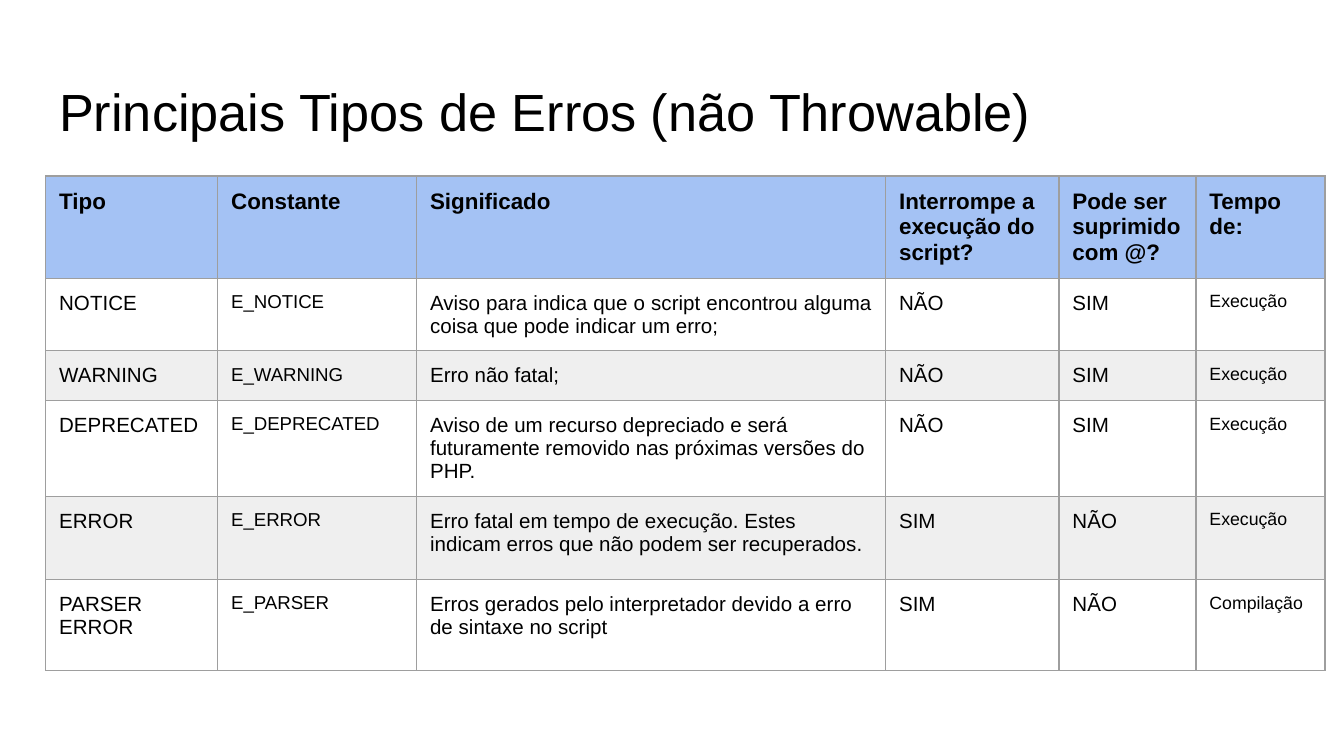
from lxml import etree
from pptx import Presentation
from pptx import util as u
from pptx.dml.color import RGBColor
from pptx.enum import text
from pptx.oxml.ns import qn

FONT, BLACK = "Arial", "000000"
HEADER_FILL, BAND_FILL, GRID = "A4C2F4", "EFEFEF", "9E9E9E"
SLIDE_WIDTH = u.Inches(10)
SLIDE_HEIGHT = SLIDE_WIDTH * 9 // 16
LEFT = 0.34
COLUMNS = [1.28, 1.48, 3.49, 1.29, 1.02, 0.96]
ROWS = [0.68, 0.34, 0.2, 0.42, 0.62, 0.68]  # minimum heights; rows grow with text
BODY_SIZES = [11, 10, 11, 11, 11, 9.5]
HEADER = ["Tipo", "Constante", "Significado", "Interrompe a execução do script?",
          "Pode ser suprimido com @?", "Tempo de:"]
ERRORS = [
    ["NOTICE", "E_NOTICE",
     "Aviso para indica que o script encontrou alguma coisa que pode indicar um erro;",
     "NÃO", "SIM", "Execução"],
    ["WARNING", "E_WARNING", "Erro não fatal;", "NÃO", "SIM", "Execução"],
    ["DEPRECATED", "E_DEPRECATED",
     "Aviso de um recurso depreciado e será futuramente removido nas próximas versões do PHP.",
     "NÃO", "SIM", "Execução"],
    ["ERROR", "E_ERROR",
     "Erro fatal em tempo de execução. Estes indicam erros que não podem ser recuperados.",
     "SIM", "NÃO", "Execução"],
    ["PARSER ERROR", "E_PARSER",
     "Erros gerados pelo interpretador devido a erro de sintaxe no script",
     "SIM", "NÃO", "Compilação"],
]
JUSTIFIED = {(1, 1), (1, 2)}


def rgb(value):
    return RGBColor.from_string(value)


def write(holder, words, size, bold=False, align=text.PP_ALIGN.LEFT):
    """Put one formatted paragraph in a text frame or table cell."""
    holder.margin_left = holder.margin_right = u.Inches(0.1)
    holder.margin_top = holder.margin_bottom = u.Inches(0.1)
    holder.vertical_anchor = text.MSO_ANCHOR.TOP
    frame = getattr(holder, "text_frame", holder)
    frame.text = words
    paragraph = frame.paragraphs[0]
    paragraph.alignment = align
    font = paragraph.font
    font.name, font.size, font.bold = FONT, u.Pt(size), bold
    font.color.rgb = rgb(BLACK)


def add_borders(cell):
    properties = cell._tc.get_or_add_tcPr()
    for position, side in enumerate(("lnL", "lnR", "lnT", "lnB")):
        line = etree.Element(qn(f"a:{side}"), w=str(u.Pt(0.75)))
        fill = etree.SubElement(line, qn("a:solidFill"))
        etree.SubElement(fill, qn("a:srgbClr"), val=GRID)
        properties.insert(position, line)


def fill_cell(cell, color):
    if color:
        cell.fill.solid()
        cell.fill.fore_color.rgb = rgb(color)
    else:
        cell.fill.background()


def add_title(slide, words):
    title = slide.shapes.title
    title.left, title.top = u.Inches(LEFT), u.Inches(0.49)
    title.width, title.height = u.Inches(9.32), u.Inches(0.63)
    write(title.text_frame, words, 28)
    title.text_frame.auto_size = text.MSO_AUTO_SIZE.NONE


def add_error_table(slide):
    table = slide.shapes.add_table(
        len(ROWS), len(COLUMNS), u.Inches(LEFT), u.Inches(1.31),
        u.Inches(sum(COLUMNS)), u.Inches(sum(ROWS))).table
    for column, width in zip(table.columns, COLUMNS):
        column.width = u.Inches(width)
    for row, height in zip(table.rows, ROWS):
        row.height = u.Inches(height)

    for r, entries in enumerate([HEADER] + ERRORS):
        is_header = r == 0
        color = HEADER_FILL if is_header else BAND_FILL if r % 2 == 0 else None
        for c, words in enumerate(entries):
            cell = table.cell(r, c)
            align = text.PP_ALIGN.JUSTIFY if (r, c) in JUSTIFIED else text.PP_ALIGN.LEFT
            write(cell, words, 12 if is_header else BODY_SIZES[c], is_header, align)
            fill_cell(cell, color)
            add_borders(cell)


def main():
    deck = Presentation()
    deck.slide_width, deck.slide_height = SLIDE_WIDTH, SLIDE_HEIGHT
    slide = deck.slides.add_slide(deck.slide_layouts[5])  # title only
    add_title(slide, "Principais Tipos de Erros (não Throwable)")
    add_error_table(slide)
    deck.save("out.pptx")


if __name__ == "__main__":
    main()
